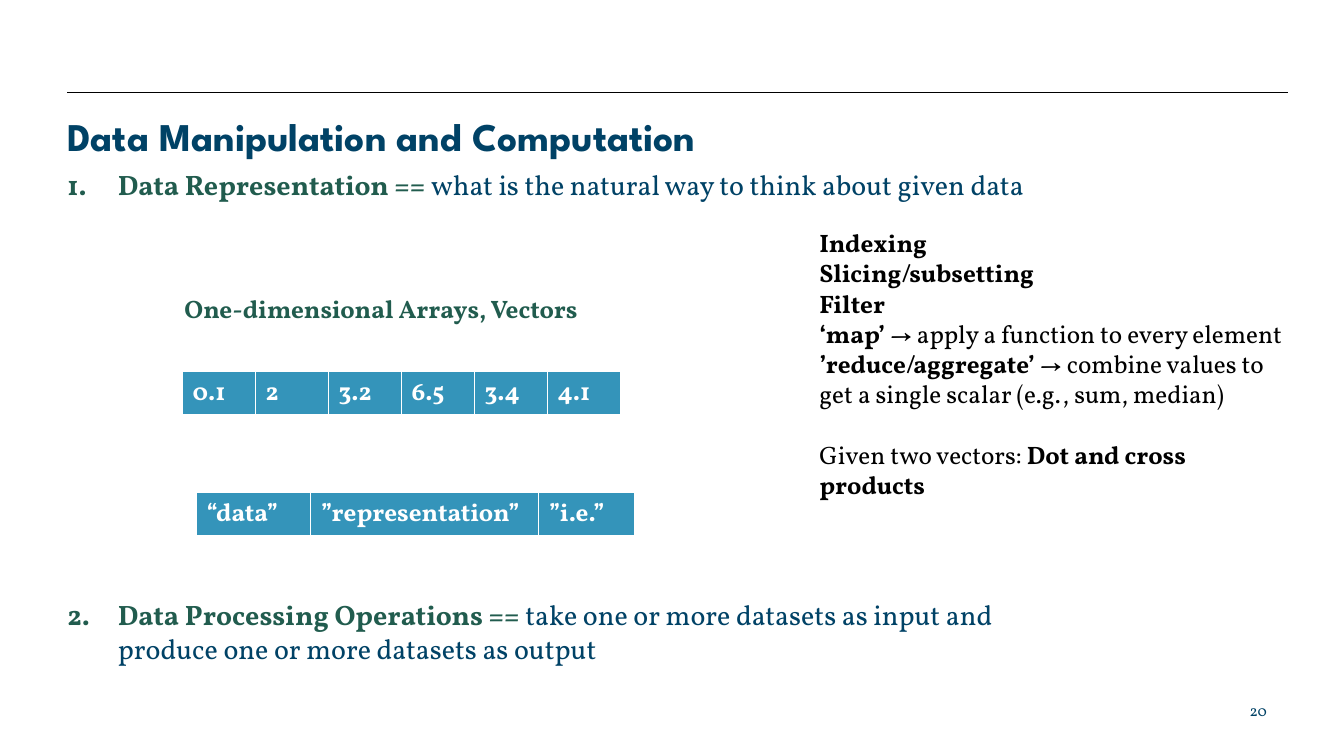
"""Build the slide on data manipulation and computation."""
import dataclasses

import pptx
import pptx.dml.color
import pptx.enum.shapes
import pptx.enum.text
import pptx.oxml
import pptx.oxml.ns
import pptx.util

Cm = pptx.util.Cm
Pt = pptx.util.Pt
PP_ALIGN = pptx.enum.text.PP_ALIGN
ANCHOR = pptx.enum.text.MSO_ANCHOR


@dataclasses.dataclass(frozen=True)
class Theme:
    """Hold the fonts, colours and type sizes."""
    heading_font: str = "League Spartan"
    body_font: str = "Vollkorn"
    navy: str = "004266"
    green: str = "215C4E"
    blue: str = "3494BA"
    black: str = "000000"
    white: str = "FFFFFF"
    title: int = 28
    body: int = 20
    detail: int = 18
    number: int = 11


def rgb(color):
    """Turn a hex string into a colour."""
    return pptx.dml.color.RGBColor.from_string(color)


def add_text(p, text, *, size, color, font, bold=False):
    """Add a formatted run to a paragraph."""
    r = p.add_run()
    r.text = text
    r.font.size = Pt(size)
    r.font.name = font
    r.font.bold = bold
    r.font.color.rgb = rgb(color)


def add_child(parent, tag, **attributes):
    """Append a DrawingML element and return it."""
    child = pptx.oxml.parse_xml(f"<a:{tag} {pptx.oxml.ns.nsdecls('a')}/>")
    for name, value in attributes.items():
        child.set(name, str(value))
    parent.append(child)
    return child


class SlideBuilder:
    """Draw themed elements on one slide."""

    def __init__(self, slide, theme):
        """Keep the slide and its theme."""
        self.slide = slide
        self.theme = theme

    def title(self, text, left, top, width, height):
        """Place and format the title placeholder."""
        sp = self.slide.shapes.title
        sp.left, sp.top, sp.width, sp.height = map(Cm, (left, top, width, height))
        tf = sp.text_frame
        self.set_frame(tf, inset=0, anchor=ANCHOR.MIDDLE)
        p = tf.paragraphs[0]
        p.alignment = PP_ALIGN.LEFT
        add_text(p, text, size=self.theme.title, color=self.theme.navy,
                 font=self.theme.heading_font, bold=True)

    def set_frame(self, tf, inset=None, anchor=ANCHOR.TOP, wrap=True):
        """Set wrapping, anchor and margins of a text frame."""
        tf.word_wrap = wrap
        tf.auto_size = pptx.enum.text.MSO_AUTO_SIZE.NONE
        tf.vertical_anchor = anchor
        if inset is not None:
            tf.margin_left = tf.margin_right = Cm(inset)
            tf.margin_top = tf.margin_bottom = Cm(inset)

    def text_box(self, paragraphs, left, top, width, height, *, size, gap=0,
                 align=PP_ALIGN.LEFT, inset=None, wrap=True, numbered=False):
        """Add paragraphs of (text, colour, bold) runs, with a gap before the last."""
        sp = self.slide.shapes.add_textbox(*map(Cm, (left, top, width, height)))
        tf = sp.text_frame
        self.set_frame(tf, inset=inset, wrap=wrap)
        for i, runs in enumerate(paragraphs):
            p = tf.add_paragraph() if i else tf.paragraphs[0]
            p.alignment = align
            if numbered:
                pPr = p._p.get_or_add_pPr()
                pPr.set("marL", str(Cm(1.27)))
                pPr.set("indent", str(-Cm(1.27)))
                add_child(pPr, "buFont", typeface="+mj-lt")
                add_child(pPr, "buAutoNum", type="arabicPeriod")
            if gap and i == len(paragraphs) - 1:
                p.space_before = Pt(gap)
            for text, color, bold in runs:
                add_text(p, text, size=size, color=color,
                         font=self.theme.body_font, bold=bold)

    def vector(self, values, widths, left, top, height):
        """Add a one-row table of values."""
        frame = self.slide.shapes.add_table(
            1, len(values), *map(Cm, (left, top, sum(widths), height)))
        table = frame.table
        table.rows[0].height = Cm(height)
        for i, (value, width) in enumerate(zip(values, widths)):
            table.columns[i].width = Cm(width)
            cell = table.cell(0, i)
            tcPr = cell._tc.get_or_add_tcPr()
            for side, weight in (("lnL", 1), ("lnR", 1), ("lnT", 1), ("lnB", 3)):
                ln = add_child(tcPr, side, w=Pt(weight))
                add_child(add_child(ln, "solidFill"), "srgbClr", val=self.theme.white)
            cell.fill.solid()
            cell.fill.fore_color.rgb = rgb(self.theme.blue)
            add_text(cell.text_frame.paragraphs[0], value, size=self.theme.detail,
                     color=self.theme.white, font=self.theme.body_font, bold=True)

    def rule(self, left, right, y):
        """Add a thin horizontal line."""
        line = self.slide.shapes.add_connector(
            pptx.enum.shapes.MSO_CONNECTOR.STRAIGHT, *map(Cm, (left, y, right, y)))
        line.line.color.rgb = rgb(self.theme.black)
        line.line.width = Pt(0.75)
        add_child(line._element.spPr, "effectLst")


def main():
    """Build and save the presentation."""
    theme = Theme()
    prs = pptx.Presentation()
    prs.slide_width, prs.slide_height = Cm(33.87), Cm(19.05)
    s = SlideBuilder(prs.slides.add_slide(prs.slide_layouts[5]), theme)

    s.rule(1.7, 32.46, 2.34)
    s.title("Data Manipulation and Computation", 1.7, 2.84, 30.48, 1.19)
    s.text_box([
        [("Data Representation == ", theme.green, True),
         ("what is the natural way to think about given data", theme.navy, False)],
        [("Data Processing Operations == ", theme.green, True),
         ("take one or more datasets as input and produce one or more "
          "datasets as output", theme.navy, False)],
    ], 1.7, 4.22, 24.46, 14.45, size=theme.body, gap=283.5, inset=0, numbered=True)

    s.text_box([
        [("Indexing", theme.black, True)],
        [("Slicing/subsetting", theme.black, True)],
        [("Filter", theme.black, True)],
        [("‘map’ ", theme.black, True),
         ("→ apply a function to every element", theme.black, False)],
        [("’reduce/aggregate’", theme.black, True),
         (" → combine values to get a single scalar (e.g., sum, median)",
          theme.black, False)],
        [("Given two vectors: ", theme.black, False),
         ("Dot and cross products", theme.black, True)],
    ], 20.4, 5.61, 12.37, 9.5, size=theme.detail, gap=21.6)

    s.text_box([[("One-dimensional Arrays, Vectors", theme.green, True)]],
               4.4, 7.26, 10.57, 1.02, size=theme.detail, wrap=False)
    numbers = ["0.1", "2", "3.2", "6.5", "3.4", "4.1"]
    s.vector(numbers, [1.84] * len(numbers), 4.6, 9.35, 1.03)
    s.vector(["“data”", "”representation”", "”i.e.”"], [2.88, 5.75, 2.4],
             4.95, 12.4, 0.97)
    s.text_box([[("20", theme.navy, False)]], 24.28, 17.55, 7.9, 0.64,
               size=theme.number, align=PP_ALIGN.RIGHT)
    prs.save("out.pptx")


if __name__ == "__main__":
    main()
